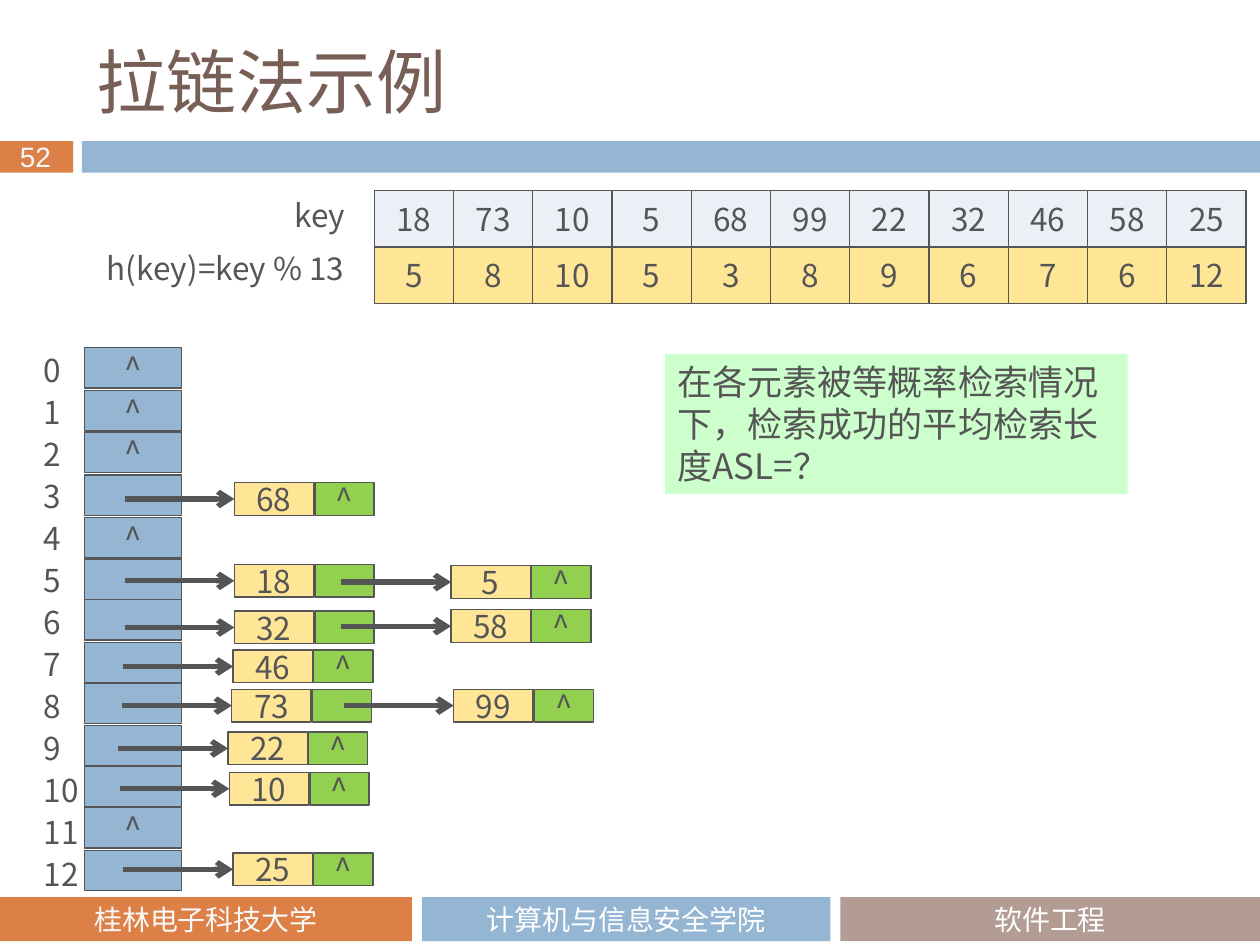
from pptx import Presentation
from pptx.dml.color import RGBColor
from pptx.enum.shapes import MSO_CONNECTOR as Conn, MSO_SHAPE as Shape
from pptx.enum.text import MSO_ANCHOR as Anchor, PP_ALIGN as Align
from pptx.oxml.ns import qn
from pptx.util import Inches, Pt
from lxml.etree import SubElement as Sub

SANS = "Noto Sans CJK SC"
INK, BLUE, GOLD, GREEN = "555555", "94B6D2", "FFE697", "92D050"
ORANGE, TAUPE, WHITE, PALE = "DD8047", "B29C93", "FFFFFF", "F9F9F9"

KEYS = [18, 73, 10, 5, 68, 99, 22, 32, 46, 58, 25]
TOPS = [2.76, 3.1, 3.43, 3.77, 4.11, 4.44, 4.76, 5.1, 5.42, 5.76, 6.08, 6.41, 6.75]
CHAINS = {
    3: [(1.86, 3.83, 68)],
    5: [(1.86, 4.48, 18), (3.58, 4.49, 5)],
    6: [(1.86, 4.85, 32), (3.58, 4.84, 58)],
    7: [(1.85, 5.16, 46)],
    8: [(1.84, 5.47, 73), (3.6, 5.47, 99)],
    9: [(1.81, 5.81, 22)],
    10: [(1.82, 6.13, 10)],
    12: [(1.85, 6.77, 25)],
}


def paint(color, tone):
    """Set a colour object to a hex tone."""
    color.rgb = RGBColor.from_string(tone)


def write(shape, text, size=18, font=SANS, east=SANS, tone=INK, align=Align.LEFT,
          anchor=Anchor.TOP, wrap=True, pitch=None, pad=None):
    """Fill a shape with text, one paragraph a line."""
    frame = shape.text_frame
    frame.word_wrap = wrap
    frame.vertical_anchor = anchor
    if pad is not None:
        frame.margin_left = frame.margin_right = Inches(pad)
        frame.margin_top = frame.margin_bottom = Inches(pad)
    for n, line in enumerate(text.split("\n")):
        para = frame.add_paragraph() if n else frame.paragraphs[0]
        para.alignment = align
        if pitch:
            para.line_spacing = Pt(pitch)
        run = para.add_run()
        run.text = line
        run.font.size = Pt(size)
        run.font.name = font
        paint(run.font.color, tone)
        Sub(run.font._element, qn("a:ea")).set("typeface", east)


def label(slide, box, text, **form):
    """Add a text box."""
    write(slide.shapes.add_textbox(*map(Inches, box)), text, **form)


def block(slide, box, fill, edge=None):
    """Add a plain rectangle."""
    shape = slide.shapes.add_shape(Shape.RECTANGLE, *map(Inches, box))
    shape.shadow.inherit = False
    shape.fill.solid()
    paint(shape.fill.fore_color, fill)
    if edge:
        paint(shape.line.color, edge)
        shape.line.width = Pt(0.75)
    else:
        shape.line.fill.background()
    return shape


def cell(slide, box, fill, text=""):
    """Add an outlined cell with centred text."""
    shape = block(slide, box, fill, INK)
    if text:
        write(shape, text, align=Align.CENTER, anchor=Anchor.MIDDLE, wrap=False, pad=0)


def arrow(slide, left, right, y):
    """Add a level arrow."""
    link = slide.shapes.add_connector(
        Conn.STRAIGHT, Inches(left), Inches(y), Inches(right), Inches(y))
    paint(link.line.color, INK)
    link.line.width = Pt(3)
    Sub(link.line._get_or_add_ln(), qn("a:tailEnd")).set("type", "arrow")
    Sub(link._element.spPr, qn("a:effectLst"))


def header(slide, left, top, width):
    """Place the title, page number and rule."""
    label(slide, (left + 0.67, top, 8.92, 0.78), "拉链法示例", size=40,
          font="Noto Sans CJK JP", east="Noto Sans CJK JP", tone="775F55",
          anchor=Anchor.MIDDLE)
    rule = top + 0.87
    block(slide, (left, rule, 0.58, 0.25), ORANGE)
    block(slide, (left + 0.65, rule, width - 0.65, 0.25), BLUE)
    label(slide, (left + 0.06, rule - 0.06, 0.48, 0.37), "52", size=16,
          font="Arial", tone=PALE, wrap=False)


def footer(slide, top, high):
    """Place the three footer bands."""
    bands = [(0, 3.27, ORANGE, PALE, "桂林电子科技大学"),
             (3.35, 3.24, BLUE, WHITE, "计算机与信息安全学院"),
             (6.67, 3.33, TAUPE, WHITE, "软件工程")]
    for left, width, fill, tone, text in bands:
        band = block(slide, (left, top, width, high), fill)
        write(band, text, size=16, font="Calibri", tone=tone,
              align=Align.CENTER, anchor=Anchor.MIDDLE)


def grid(slide, left, top, wide, high):
    """Place the keys above their hash values."""
    step = wide / len(KEYS)
    for n, key in enumerate(KEYS):
        x = left + n * step
        cell(slide, (x, top, step, high / 2), "EAF0F6", str(key))
        cell(slide, (x, top + high / 2, step, high / 2), GOLD, str(key % 13))
    label(slide, (left - 0.73, top, 0.63, 0.4), "key", wrap=False)
    label(slide, (left - 2.22, top + 0.42, 2.22, 0.4), "h(key)=key % 13", wrap=False)


def buckets(slide, left, wide, high):
    """Place the numbered bucket column."""
    for n, top in enumerate(TOPS):
        cell(slide, (left, top, wide, high), BLUE, "" if n in CHAINS else "^")
    label(slide, (left - 0.42, TOPS[0] - 0.08, 0.51, 4.48),
          "\n".join(str(n) for n in range(len(TOPS))),
          anchor=Anchor.MIDDLE, wrap=False, pitch=24)


def chain(slide, nodes):
    """Place one linked list with its arrows."""
    for n, (x, y, key) in enumerate(nodes, 1):
        cell(slide, (x, y, 0.63, 0.26), GOLD, str(key))
        cell(slide, (x + 0.64, y, 0.47, 0.26), GREEN, "^" if n == len(nodes) else "")
    for x, y, key in nodes:
        arrow(slide, x - 0.87, x, y + 0.13)


def note(slide, box):
    """Place the question panel."""
    write(block(slide, box, "CCFFCC"),
          "在各元素被等概率检索情况下，检索成功的平均检索长度ASL=？", size=20, pitch=24)


def main():
    """Build and save the slide."""
    deck = Presentation()
    deck.slide_width, deck.slide_height = Inches(10), Inches(7.5)
    slide = deck.slides.add_slide(deck.slide_layouts[6])
    header(slide, 0, 0.25, 10)
    footer(slide, 7.12, 0.35)
    grid(slide, 2.97, 1.51, 6.92, 0.9)
    buckets(slide, 0.67, 0.77, 0.32)
    for nodes in CHAINS.values():
        chain(slide, nodes)
    note(slide, (5.28, 2.81, 3.67, 1.11))
    deck.save("out.pptx")


if __name__ == "__main__":
    main()
